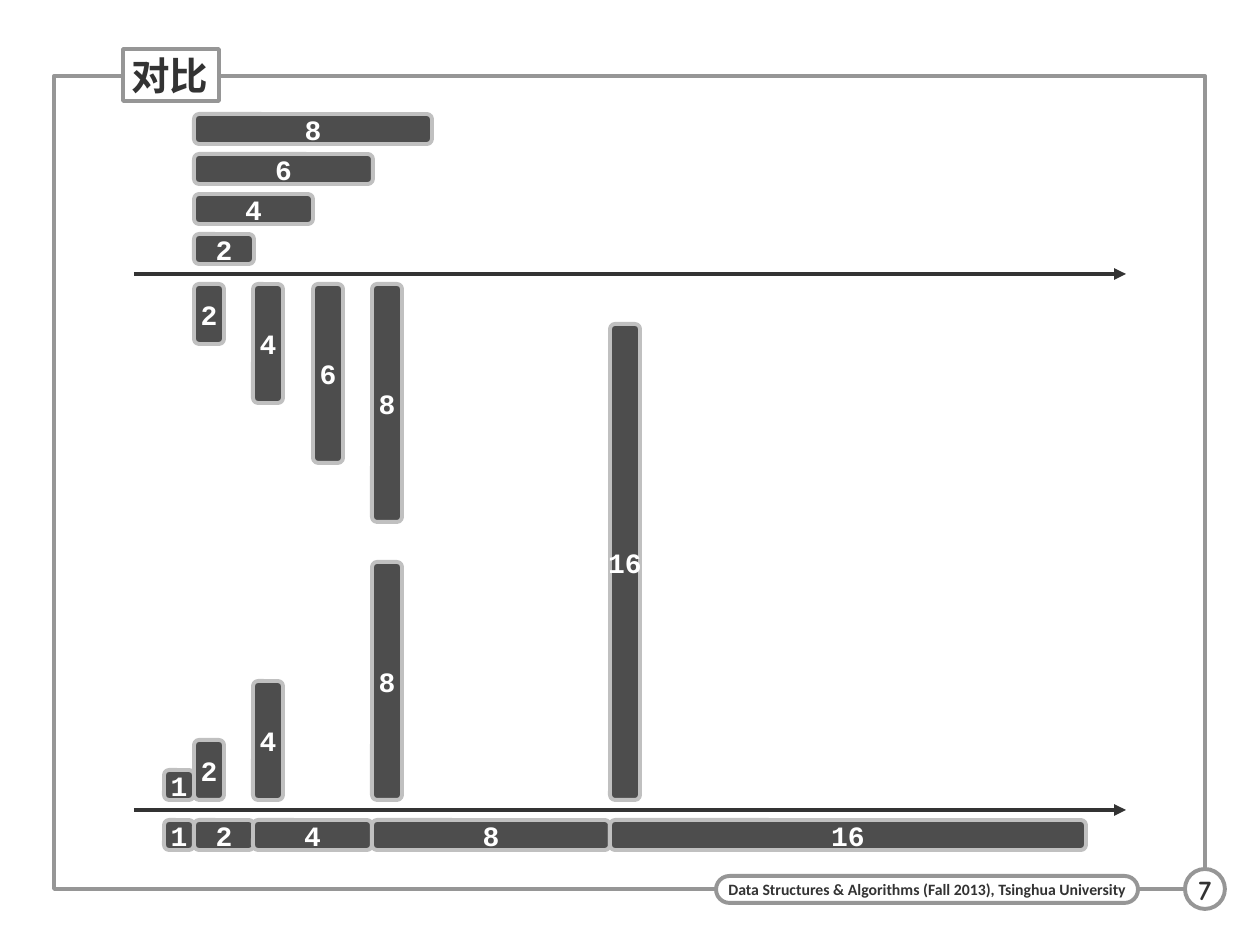
from lxml import etree
from pptx import Presentation
from pptx import util as u
from pptx.dml.color import RGBColor
from pptx.enum import shapes, text
from pptx.oxml.ns import qn

SCALE = u.Inches(1) / 126
WHITE = RGBColor(0xFF, 0xFF, 0xFF)
INK = RGBColor(0x33, 0x33, 0x33)
BAR_FILL = RGBColor(0x4D, 0x4D, 0x4D)
BAR_EDGE = RGBColor(0xC0, 0xC0, 0xC0)
FRAME = RGBColor(0x96, 0x96, 0x96)
LINE_WIDTH = u.Pt(2.25)

ORIGIN = 134
UNIT = 29.76
THICKNESS = 30
STACK_STEP = 40
UPPER_AXIS = 274
LOWER_AXIS = 810
AXIS_GAP = 10


def px(value):
    return u.Emu(round(value * SCALE))


def along(units):
    return round(units * UNIT)


def place(shape, left, top, width, height):
    shape.left, shape.top = px(left), px(top)
    shape.width, shape.height = px(width), px(height)


def paint(shape, fill, edge):
    if fill is None:
        shape.fill.background()
    else:
        shape.fill.solid()
        shape.fill.fore_color.rgb = fill
    shape.line.color.rgb = edge
    shape.line.width = LINE_WIDTH


def write(shape, words, size, font_name, color, align=text.PP_ALIGN.CENTER,
          margin=0, wrap=False):
    frame = shape.text_frame
    frame.auto_size = text.MSO_AUTO_SIZE.NONE
    frame.word_wrap = wrap
    frame.vertical_anchor = text.MSO_ANCHOR.MIDDLE
    frame.margin_left = frame.margin_right = px(margin)
    frame.margin_top = frame.margin_bottom = 0
    paragraph = frame.paragraphs[0]
    paragraph.alignment = align
    run = paragraph.add_run()
    run.text = words
    run.font.size = u.Pt(size)
    run.font.name = font_name
    run.font.bold = True
    run.font.color.rgb = color


def add_box(slide, kind, box, fill, edge):
    shape = slide.shapes.add_shape(kind, *[px(value) for value in box])
    shape.shadow.inherit = False
    paint(shape, fill, edge)
    return shape


def add_bar(slide, size, left, top, width, height):
    bar = add_box(slide, shapes.MSO_SHAPE.ROUNDED_RECTANGLE,
                  (left, top, width, height), BAR_FILL, BAR_EDGE)
    bar.adjustments[0] = 0.17
    write(bar, str(size), 16, "Courier New", WHITE)


def add_axis(slide, y):
    axis = slide.shapes.add_connector(
        shapes.MSO_CONNECTOR.STRAIGHT, px(ORIGIN), px(y), px(1126), px(y))
    axis.line.color.rgb = INK
    axis.line.width = LINE_WIDTH
    line = axis.line._get_or_add_ln()
    etree.SubElement(line, qn("a:tailEnd"), type="triangle")
    etree.SubElement(axis._element.spPr, qn("a:effectLst"))


def add_title(slide):
    title = slide.shapes.title
    place(title, 123, 49, 96, 52)
    paint(title, WHITE, FRAME)
    write(title, "对比", 22, "Courier New", INK, text.PP_ALIGN.LEFT, 8, True)


def add_frame(slide):
    frame = add_box(slide, shapes.MSO_SHAPE.RECTANGLE,
                    (54, 76, 1151, 813), None, FRAME)
    slide.shapes._spTree.insert(2, frame._element)


def add_footer(slide):
    footer = add_box(slide, shapes.MSO_SHAPE.ROUNDED_RECTANGLE,
                     (716, 876, 422, 27), WHITE, FRAME)
    footer.adjustments[0] = 0.5
    write(footer, "Data Structures & Algorithms (Fall 2013), Tsinghua University",
          9, "Calibri", INK)
    number = add_box(slide, shapes.MSO_SHAPE.OVAL,
                     (1185, 869, 40, 40), WHITE, FRAME)
    write(number, "7", 16, "Comic Neue", INK)


def add_linear_growth(slide):
    for level, size in enumerate((2, 4, 6, 8), start=1):
        length = along(size)
        add_bar(slide, size, ORIGIN + length, UPPER_AXIS + AXIS_GAP,
                THICKNESS, length)
        add_bar(slide, size, ORIGIN + along(2), UPPER_AXIS - level * STACK_STEP,
                length, THICKNESS)
    add_axis(slide, UPPER_AXIS)


def add_doubling_growth(slide):
    for size in (1, 2, 4, 8, 16):
        length = along(size)
        left = ORIGIN + length
        add_bar(slide, size, left, LOWER_AXIS - AXIS_GAP - length,
                THICKNESS, length)
        add_bar(slide, size, left, LOWER_AXIS + AXIS_GAP, length, THICKNESS)
    add_axis(slide, LOWER_AXIS)


def main():
    presentation = Presentation()
    presentation.slide_width = px(1260)
    presentation.slide_height = px(945)
    slide = presentation.slides.add_slide(presentation.slide_layouts[5])
    add_frame(slide)
    add_footer(slide)
    add_title(slide)
    add_doubling_growth(slide)
    add_linear_growth(slide)
    presentation.save("out.pptx")


if __name__ == "__main__":
    main()
